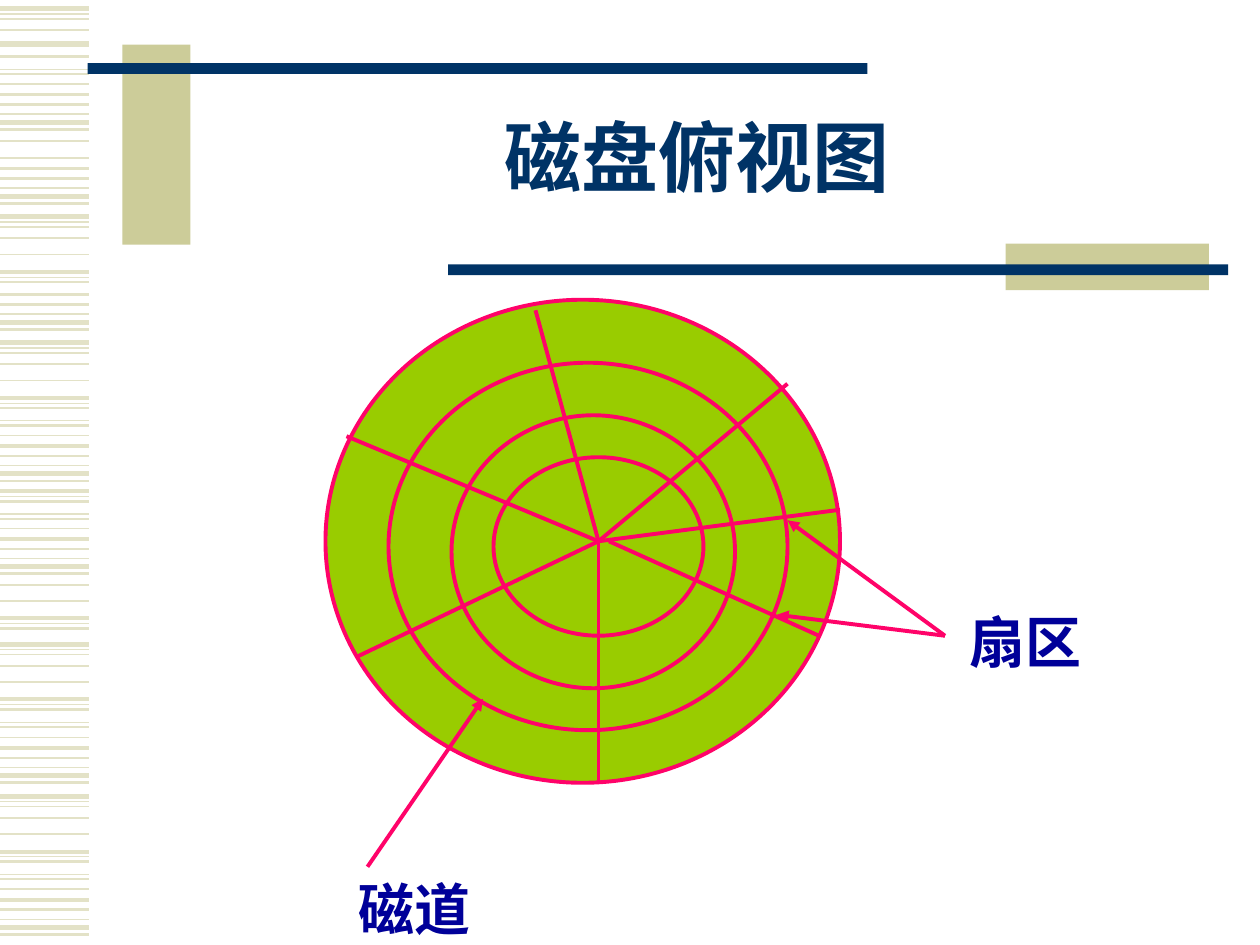
from lxml import etree
from pptx import Presentation
from pptx import util as u
from pptx.dml.color import RGBColor
from pptx.enum import shapes, text
from pptx.oxml.ns import qn

Pt = u.Pt
FONT = "Times New Roman"
NAVY, KHAKI, STRIPE = "003366", "CCCC99", "E3E2C7"
GREEN, PINK, BLUE = "99CC00", "FF0369", "000099"

# Stripe motifs: (offset from the motif's base, line width)
SHORT = [(-21.8, 1), (-15.8, 2.25), (-10.1, 1.5), (-4.6, 0.75), (0, 3), (4.1, 1.5)]
LONG = [(0, 3), (3, 0.75), (5.9, 1), (12.3, 1), (21.6, 1), (31.6, 2.25),
        (34.6, 0.75), (37.4, 1.5), (44.6, 0.75), (47.4, 1.5)]
# (motif, base, first stripe, end stripe), from top to bottom
STRIPES = [
    (LONG, -5, 7, 10), (LONG, 5, 0, 4), (SHORT, 25.2, 4, 5),
    (SHORT, 69.8, 0, 6), (LONG, 68.4, 3, 4), (SHORT, 112.1, 0, 6),
    (LONG, 123.8, 0, 8), (SHORT, 184.1, 1, 6), (LONG, 195.8, 0, 10),
    (SHORT, 270.7, 0, 6), (LONG, 249.1, 5, 10), (SHORT, 323.8, 0, 6),
    (LONG, 321.8, 3, 8), (LONG, 368.1, 0, 10), (SHORT, 443.2, 0, 6),
    (LONG, 455, 0, 10), (SHORT, 529.9, 0, 6),
]

# Disk parts, relative to the disk's box
RINGS = [(0, 0, 294, 276), (36, 36, 228, 210), (72, 66, 162, 156), (96, 90, 120, 102)]
HUB = (156, 138)
SPOKES = [(HUB, (264, 48)), ((162, 138), (282, 192)), (HUB, (156, 276)),
          (HUB, (18, 204)), (HUB, (120, 6)), (HUB, (12, 78)), (HUB, (294, 120))]
# (label, label corner, arrow start, arrow tips)
CALLOUTS = [("磁道", (11.5, 324.7), (24, 324), [(90, 228)]),
            ("扇区", (360.7, 172.1), (354, 192), [(264, 126), (258, 180)])]


def rgb(color):
    return RGBColor.from_string(color)


def add_line(s, start, end, color, width, arrow=False):
    points = [Pt(v) for v in (*start, *end)]
    ln = s.shapes.add_connector(shapes.MSO_CONNECTOR.STRAIGHT, *points)
    ln.line.color.rgb = rgb(color)
    ln.line.width = Pt(width)
    if arrow:
        etree.SubElement(ln.line._get_or_add_ln(), qn("a:tailEnd"), type="triangle")
    etree.SubElement(ln._element.spPr, qn("a:effectLst"))


def add_filled(s, kind, box, fill, line=None):
    sp = s.shapes.add_shape(kind, *[Pt(v) for v in box])
    sp.shadow.inherit = False
    sp.fill.solid()
    sp.fill.fore_color.rgb = rgb(fill)
    if line:
        sp.line.color.rgb = rgb(line)
        sp.line.width = Pt(2.25)
    else:
        sp.line.fill.background()


def add_text(s, box, words, size, color, wrap=False):
    tf = s.shapes.add_textbox(*[Pt(v) for v in box]).text_frame
    tf.word_wrap = wrap
    tf.vertical_anchor = text.MSO_ANCHOR.MIDDLE
    p = tf.paragraphs[0]
    r = p.add_run()
    r.text = words
    r.font.name = FONT
    r.font.size = Pt(size)
    r.font.bold = True
    r.font.color.rgb = rgb(color)
    return p


def add_stripes(s, box):
    x, y, w, _ = box
    for motif, base, first, end in STRIPES:
        for offset, width in motif[first:end]:
            level = y + base + offset
            add_line(s, (x, level), (x + w, level), STRIPE, width)


def add_header(s, box):
    x, y, w, h = box
    rect = shapes.MSO_SHAPE.RECTANGLE
    bar_w, bar_h = 445.7, 6.2
    # Each khaki block lies under its navy bar
    add_filled(s, rect, (x + 20, y, 38.9, 114.3), KHAKI)
    add_filled(s, rect, (x, y + 10.4, bar_w, bar_h), NAVY)
    add_filled(s, rect, (x + w - 127.2, y + h - 26.6, 116.2, 26.6), KHAKI)
    add_filled(s, rect, (x + w - bar_w, y + h - 14.8, bar_w, bar_h), NAVY)


def add_title(s, box):
    p = add_text(s, box, "磁盘俯视图", 44, NAVY, wrap=True)
    p.alignment = text.PP_ALIGN.CENTER
    p.line_spacing = 0.85


def add_disk(s, box):
    x, y, w, h = box
    kx, ky = w / 294, h / 276

    def place(point):
        return x + point[0] * kx, y + point[1] * ky

    # Tracks
    for left, top, rw, rh in RINGS:
        ring = (*place((left, top)), rw * kx, rh * ky)
        add_filled(s, shapes.MSO_SHAPE.OVAL, ring, GREEN, PINK)
    # Sector borders
    for start, end in SPOKES:
        add_line(s, place(start), place(end), PINK, 2.25)
    # Labels and their arrows
    for words, corner, start, tips in CALLOUTS:
        add_text(s, (*place(corner), 78.5, 46), words, 32, BLUE)
        for tip in tips:
            add_line(s, place(start), place(tip), PINK, 2.25, arrow=True)


def main():
    prs = Presentation()
    prs.slide_width, prs.slide_height = Pt(720), Pt(540)
    s = prs.slides.add_slide(prs.slide_layouts[6])
    add_stripes(s, (0, 0, 51, 540))
    add_header(s, (50, 25.6, 651.8, 140.3))
    add_disk(s, (186, 171.3, 294, 276))
    add_title(s, (108, 48, 581, 90))
    prs.save("out.pptx")


if __name__ == "__main__":
    main()
